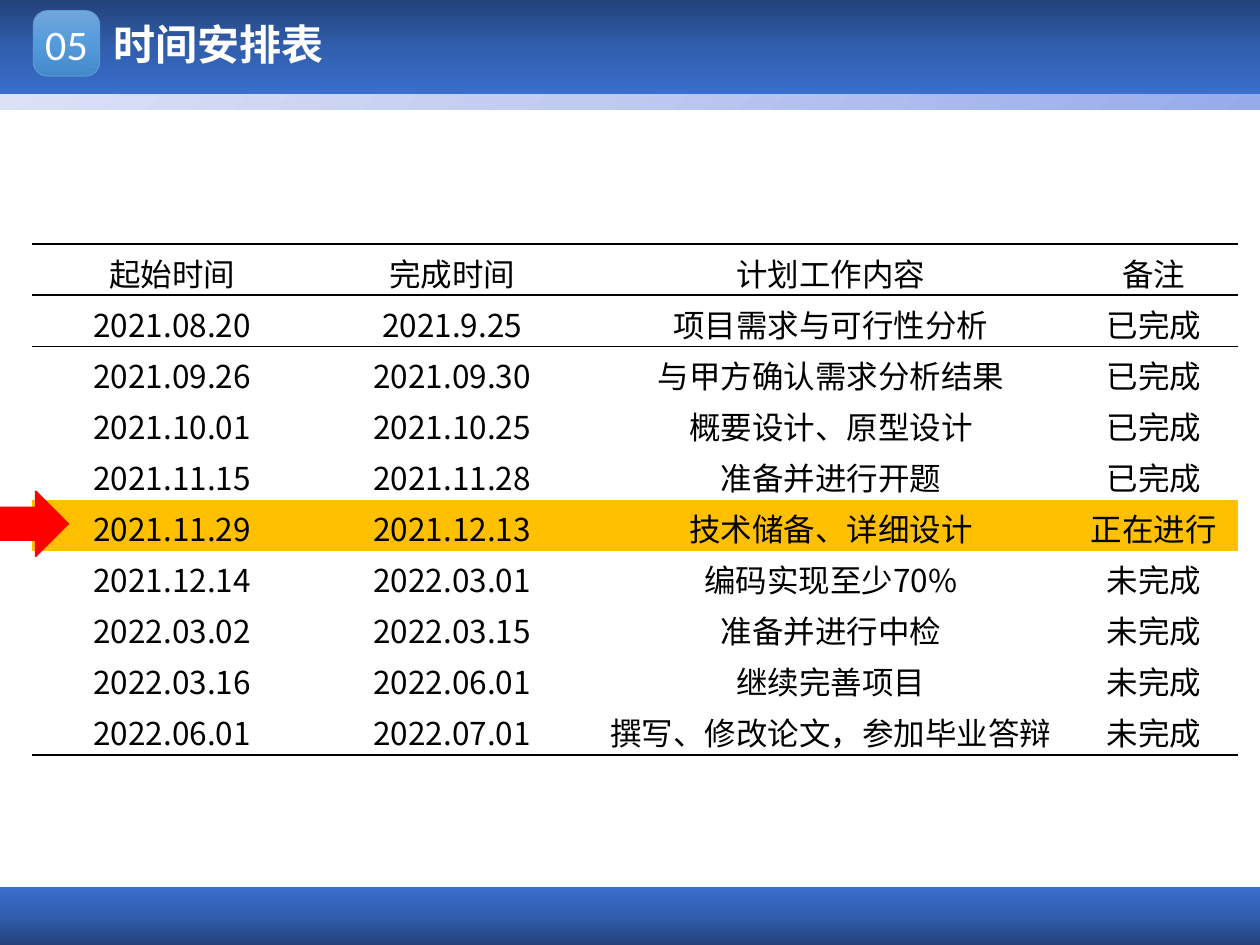
from dataclasses import dataclass

from lxml import etree
from pptx import Presentation
from pptx.dml.color import RGBColor
from pptx.enum.shapes import MSO_SHAPE
from pptx.enum.text import MSO_ANCHOR, PP_ALIGN
from pptx.oxml.ns import qn
from pptx.util import Pt

RECT, ROUNDED, ARROW = MSO_SHAPE.RECTANGLE, MSO_SHAPE.ROUNDED_RECTANGLE, MSO_SHAPE.RIGHT_ARROW
LEFT, CENTER = PP_ALIGN.LEFT, PP_ALIGN.CENTER
MIDDLE = MSO_ANCHOR.MIDDLE
NO_STYLE = "{2D5ABB26-0587-4C30-8999-92F81FD0307C}"


@dataclass(frozen=True)
class Theme:
    band: tuple = ("23427A", "315EAD", "3A6FCE")
    strip: tuple = ("96ABEA", "C0CBF0", "E0E5F7")
    badge: tuple = ("71A6DB", "559BDB", "448ACA")
    badge_line: str = "5B9BD5"
    white: str = "FFFFFF"
    ink: str = "000000"
    current: str = "FFC000"
    arrow: str = "FF0000"
    title_size: int = 24
    table_size: int = 18
    title_font: str = "Arial"
    number_font: str = "Calibri"
    cjk_font: str = "Noto Sans CJK SC"


THEME = Theme()

COLUMN_WIDTHS = (160, 160, 272.8, 96.4)
SCHEDULE = (
    ("起始时间", "完成时间", "计划工作内容", "备注"),
    ("2021.08.20", "2021.9.25", "项目需求与可行性分析", "已完成"),
    ("2021.09.26", "2021.09.30", "与甲方确认需求分析结果", "已完成"),
    ("2021.10.01", "2021.10.25", "概要设计、原型设计", "已完成"),
    ("2021.11.15", "2021.11.28", "准备并进行开题", "已完成"),
    ("2021.11.29", "2021.12.13", "技术储备、详细设计", "正在进行"),
    ("2021.12.14", "2022.03.01", "编码实现至少70%", "未完成"),
    ("2022.03.02", "2022.03.15", "准备并进行中检", "未完成"),
    ("2022.03.16", "2022.06.01", "继续完善项目", "未完成"),
    ("2022.06.01", "2022.07.01", "撰写、修改论文，参加毕业答辩", "未完成"),
)
CURRENT_ROW = 5
RULED_ROWS = (0, 1, len(SCHEDULE) - 1)


def rgb(value):
    return RGBColor.from_string(value)


def add_shape(s, kind, box, line=None, width=1):
    sp = s.shapes.add_shape(kind, *map(Pt, box))
    sp.shadow.inherit = False
    if line:
        sp.line.color.rgb = rgb(line)
        sp.line.width = Pt(width)
    else:
        sp.line.fill.background()
    return sp


def fill_gradient(sp, colors, from_corner=False):
    """Spread colours evenly downwards, or outwards from the bottom right corner."""
    sp.fill.gradient()
    grad = sp._element.spPr.find(qn("a:gradFill"))
    for child in list(grad):
        grad.remove(child)
    stops = etree.SubElement(grad, qn("a:gsLst"))
    for i, color in enumerate(colors):
        stop = etree.SubElement(stops, qn("a:gs"), pos=str(100000 * i // (len(colors) - 1)))
        etree.SubElement(stop, qn("a:srgbClr"), val=color)
    if from_corner:
        radial = etree.SubElement(grad, qn("a:path"), path="circle")
        etree.SubElement(radial, qn("a:fillToRect"), l="100000", t="100000")
    else:
        etree.SubElement(grad, qn("a:lin"), ang="5400000", scaled="0")


def write(tf, text, size, font, color, align=LEFT, bold=False):
    p = tf.paragraphs[0]
    p.alignment = align
    r = p.add_run()
    r.text = text
    r.font.size, r.font.name, r.font.bold = Pt(size), font, bold
    r.font.color.rgb = rgb(color)
    latin = r._r.get_or_add_rPr().find(qn("a:latin"))
    latin.addnext(latin.makeelement(qn("a:ea"), {"typeface": THEME.cjk_font}))


def add_text(s, box, text, font, align=LEFT, bold=False, inset=7.2):
    tf = s.shapes.add_textbox(*map(Pt, box)).text_frame
    tf.word_wrap = True
    tf.margin_left = tf.margin_right = Pt(inset)
    tf.margin_top = tf.margin_bottom = 0
    tf.vertical_anchor = MIDDLE
    write(tf, text, THEME.title_size, font, THEME.white, align, bold)


def add_header(s, box, number, title):
    x, y, w, h = box
    strip = add_shape(s, RECT, box)
    fill_gradient(strip, THEME.strip, from_corner=True)
    band = add_shape(s, RECT, (x, y, w, h - 8.6))
    fill_gradient(band, THEME.band)
    badge_box = (x + 19, y + 6, 38, 37.5)
    badge = add_shape(s, ROUNDED, badge_box, THEME.badge_line, 0.5)
    badge.adjustments[0] = 0.22
    fill_gradient(badge, THEME.badge)
    add_text(s, (x + 57.6, y + 6, w - 94, 38), title, THEME.title_font, bold=True)
    add_text(s, badge_box, number, THEME.number_font, CENTER, inset=0)


def add_footer(s, box):
    fill_gradient(add_shape(s, RECT, box), THEME.band[::-1])


def add_rule(cell, side):
    """Draw one cell edge; side is lnT or lnB."""
    tcPr = cell._tc.get_or_add_tcPr()
    ln = tcPr.makeelement(qn("a:" + side), {"w": str(Pt(1))})
    solid = etree.SubElement(ln, qn("a:solidFill"))
    etree.SubElement(solid, qn("a:srgbClr"), val=THEME.ink)
    tcPr.insert(0, ln)


def add_schedule(s, box):
    x, y, w, h = map(Pt, box)
    table = s.shapes.add_table(len(SCHEDULE), len(COLUMN_WIDTHS), x, y, w, h).table
    table.first_row = table.horz_banding = False
    table._tbl.tblPr.find(qn("a:tableStyleId")).text = NO_STYLE
    for column, width in zip(table.columns, COLUMN_WIDTHS):
        column.width = Pt(width)
    for i, texts in enumerate(SCHEDULE):
        table.rows[i].height = Pt(box[3] / len(SCHEDULE))
        for j, text in enumerate(texts):
            cell = table.cell(i, j)
            cell.margin_top, cell.margin_bottom = Pt(3), 0
            cell.vertical_anchor = MIDDLE
            write(cell.text_frame, text, THEME.table_size, THEME.cjk_font, THEME.ink, CENTER)
            if i == CURRENT_ROW:
                cell.fill.solid()
                cell.fill.fore_color.rgb = rgb(THEME.current)
            else:
                cell.fill.background()
            if i in RULED_ROWS:
                add_rule(cell, "lnB")
            if i == 0:
                add_rule(cell, "lnT")


def add_current_arrow(s, box):
    sp = add_shape(s, ARROW, box, THEME.arrow)
    sp.fill.solid()
    sp.fill.fore_color.rgb = rgb(THEME.arrow)


def main():
    prs = Presentation()
    prs.slide_width, prs.slide_height = Pt(720), Pt(540)
    s = prs.slides.add_slide(prs.slide_layouts[6])
    add_footer(s, (0, 507, 720, 33))
    add_header(s, (0, 0, 720, 62.6), "05", "时间安排表")
    add_schedule(s, (18.4, 139.5, sum(COLUMN_WIDTHS), 292))
    add_current_arrow(s, (0, 280.8, 39, 37))
    prs.save("out.pptx")


if __name__ == "__main__":
    main()
